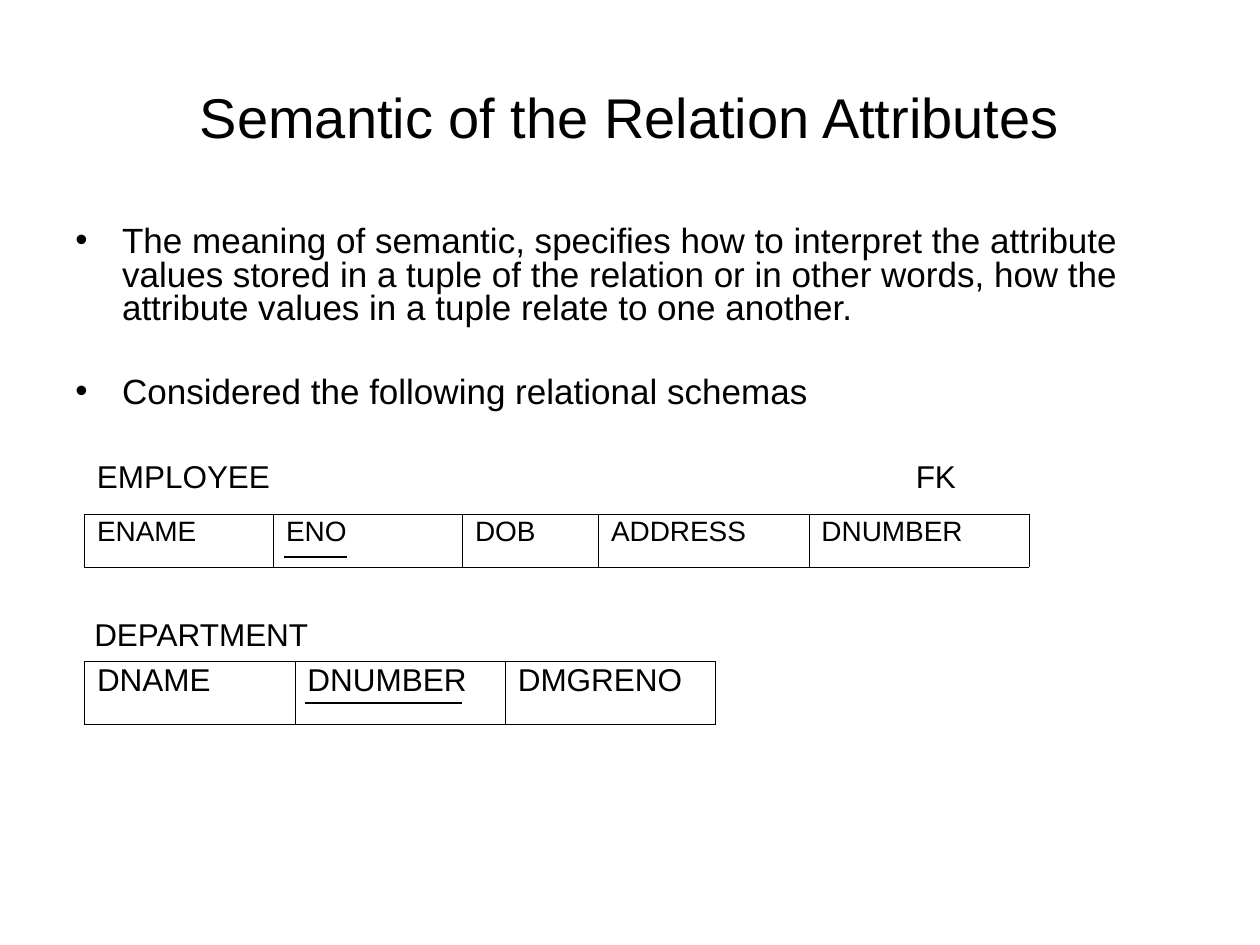
from lxml import etree
from pptx import Presentation
from pptx.dml.color import RGBColor
from pptx.enum.shapes import MSO_CONNECTOR
from pptx.enum.text import MSO_ANCHOR, PP_ALIGN
from pptx.oxml.ns import qn
from pptx.util import Inches, Pt

STRAIGHT = MSO_CONNECTOR.STRAIGHT
MIDDLE = MSO_ANCHOR.MIDDLE
CENTER = PP_ALIGN.CENTER
COLORS = {"ink": "000000"}
FONT = "Arial"
BORDER_WIDTH = Pt(0.11)


def apply_format(target, values):
    for name, value in values.items():
        setattr(target, name, value)


def write(paragraph, text, size, **spacing):
    run = paragraph.add_run()
    run.text = text
    apply_format(run.font, {"name": FONT, "size": Pt(size)})
    run.font.color.rgb = RGBColor.from_string(COLORS["ink"])
    apply_format(paragraph, spacing)


def place_title(slide, box, text):
    title = slide.shapes.title
    left, top, width, height = map(Inches, box)
    apply_format(title, {"left": left, "top": top, "width": width, "height": height})
    apply_format(title.text_frame, {"vertical_anchor": MIDDLE, "word_wrap": True})
    write(title.text_frame.paragraphs[0], text, 32, alignment=CENTER)


def add_text_frame(slide, box):
    frame = slide.shapes.add_textbox(*map(Inches, box)).text_frame
    frame.word_wrap = True
    return frame


def add_bullets(slide, box, items):
    frame = add_text_frame(slide, box)
    for index, (text, space_before) in enumerate(items):
        paragraph = frame.add_paragraph() if index else frame.paragraphs[0]
        write(paragraph, text, 20, line_spacing=0.8, space_before=Pt(space_before))
        properties = paragraph._p.get_or_add_pPr()
        properties.set("marL", str(Inches(0.37)))
        properties.set("indent", str(Inches(-0.37)))
        etree.SubElement(properties, qn("a:buFont")).set("typeface", FONT)
        etree.SubElement(properties, qn("a:buChar")).set("char", "•")


def add_label(slide, box, text):
    write(add_text_frame(slide, box).paragraphs[0], text, 18)


def add_borders(cell):
    properties = cell._tc.get_or_add_tcPr()
    for position, side in enumerate(("lnL", "lnR", "lnT", "lnB")):
        line = etree.Element(qn(f"a:{side}"), w=str(BORDER_WIDTH))
        fill = etree.SubElement(line, qn("a:solidFill"))
        etree.SubElement(fill, qn("a:srgbClr")).set("val", COLORS["ink"])
        properties.insert(position, line)


def add_schema(slide, box, columns, size, space_before):
    shape = slide.shapes.add_table(1, len(columns), *map(Inches, box))
    table = shape.table
    apply_format(table, {"first_row": False, "horz_banding": False})
    for index, (name, width) in enumerate(columns):
        table.columns[index].width = Inches(width)
        cell = table.cell(0, index)
        cell.fill.background()
        write(cell.text_frame.paragraphs[0], name, size,
              line_spacing=0.84, space_before=Pt(space_before))
        add_borders(cell)


def add_key_line(slide, left, top, width):
    line = slide.shapes.add_connector(
        STRAIGHT, *map(Inches, (left, top, left + width, top)))
    line.line.width = Pt(0.75)
    line.line.color.rgb = RGBColor.from_string(COLORS["ink"])
    etree.SubElement(line._element.spPr, qn("a:effectLst"))


def main():
    presentation = Presentation()
    presentation.slide_width, presentation.slide_height = Inches(10), Inches(7.5)
    slide = presentation.slides.add_slide(presentation.slide_layouts[5])

    place_title(slide, (0.5, 0.3, 9, 1.25), "Semantic of the Relation Attributes")
    add_bullets(slide, (0.5, 1.75, 8.75, 1.92), [
        ("The meaning of semantic, specifies how to interpret the attribute "
         "values stored in a tuple of the relation or in other words, how the "
         "attribute values in a tuple relate to one another.", 5),
        ("Considered the following relational schemas", 28.5),
    ])

    add_schema(slide, (0.67, 4.08, 7.5, 0.42),
               [("ENAME", 1.5), ("ENO", 1.5), ("DOB", 1.08),
                ("ADDRESS", 1.67), ("DNUMBER", 1.75)], 16, 4)
    add_key_line(slide, 2.25, 4.42, 0.5)
    add_schema(slide, (0.67, 5.25, 5, 0.5),
               [(name, 1.67) for name in ("DNAME", "DNUMBER", "DMGRENO")], 18, 4.5)
    add_key_line(slide, 2.42, 5.58, 1.25)

    add_label(slide, (7.17, 3.58, 0.6, 0.4), "FK")
    add_label(slide, (0.65, 4.83, 2, 0.4), "DEPARTMENT")
    add_label(slide, (0.67, 3.58, 1.7, 0.4), "EMPLOYEE")

    presentation.save("out.pptx")


if __name__ == "__main__":
    main()
